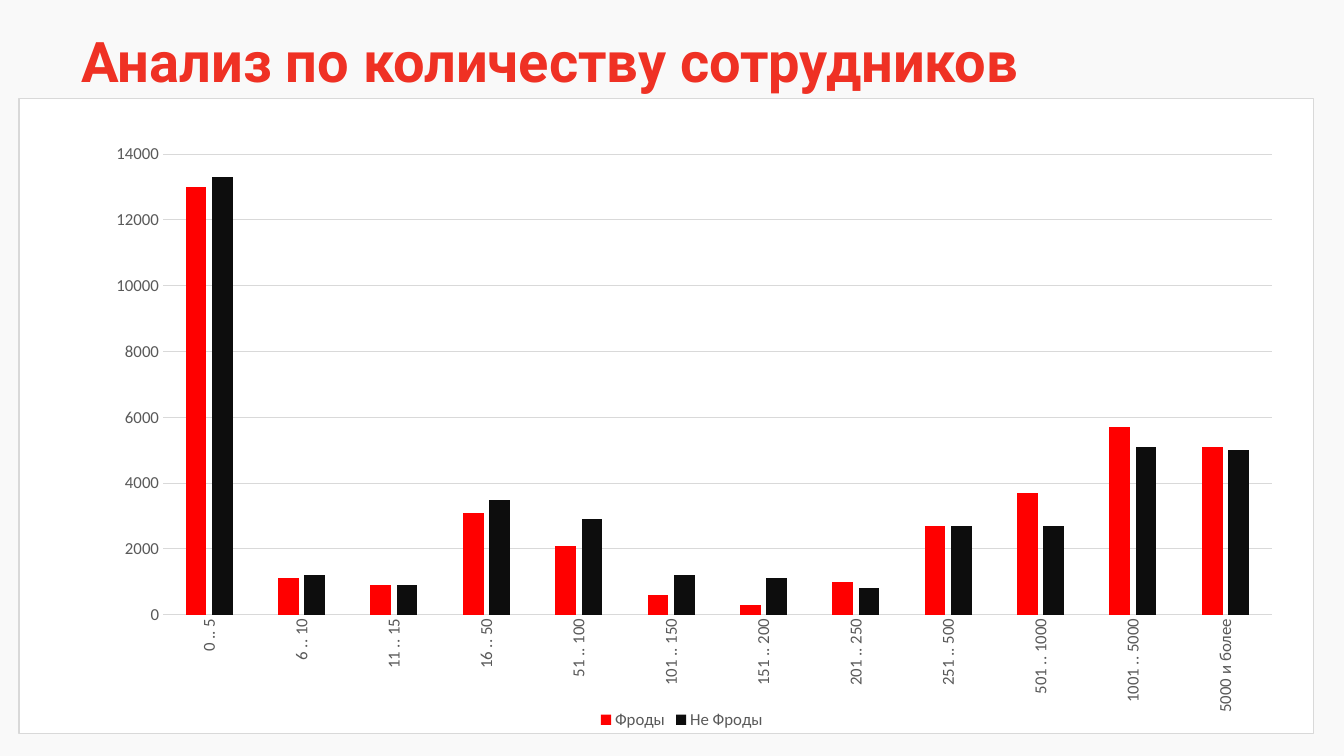
from lxml import etree
from pptx import Presentation
from pptx.chart.data import CategoryChartData
from pptx.dml.color import RGBColor
from pptx.enum.chart import XL_CHART_TYPE, XL_LEGEND_POSITION, XL_TICK_MARK
from pptx.enum.shapes import MSO_SHAPE
from pptx.enum.text import MSO_ANCHOR, MSO_AUTO_SIZE, PP_ALIGN
from pptx.oxml import parse_xml
from pptx.oxml.ns import nsdecls, qn
from pptx.util import Cm, Pt

BACKGROUND = RGBColor(0xF9, 0xF9, 0xF9)
WHITE = RGBColor(0xFF, 0xFF, 0xFF)
BLACK = RGBColor(0, 0, 0)
GRAY_LINE = RGBColor(0xD9, 0xD9, 0xD9)
GRAY_TEXT = RGBColor(0x59, 0x59, 0x59)
TITLE_RED = RGBColor(0xEF, 0x31, 0x24)
FRAUD_RED = RGBColor(0xFF, 0, 0)
OTHER_BLACK = RGBColor(0x0D, 0x0D, 0x0D)


def set_font(font, name, size, color):
    font.name = name
    font.size = Pt(size)
    font.color.rgb = color


prs = Presentation()
prs.slide_width, prs.slide_height = Cm(33.86), Cm(19.05)
s = prs.slides.add_slide(prs.slide_layouts[5])
s.background.fill.solid()
s.background.fill.fore_color.rgb = BACKGROUND

# White panel behind the chart
sp = s.shapes.add_shape(MSO_SHAPE.RECTANGLE, Cm(0.48), Cm(2.49), Cm(32.61), Cm(16))
sp.shadow.inherit = False
sp.fill.solid()
sp.fill.fore_color.rgb = WHITE
sp.line.color.rgb = GRAY_LINE
sp.line.width = Pt(1)

# Chart data
data = CategoryChartData()
data.categories = ["0 .. 5", "6 .. 10", "11 .. 15", "16 .. 50", "51 .. 100",
                   "101 .. 150", "151 .. 200", "201 .. 250", "251 .. 500",
                   "501 .. 1000", "1001 .. 5000", "5000 и более"]
data.add_series("Фроды", [13000, 1100, 900, 3100, 2100, 600,
                          300, 1000, 2700, 3700, 5700, 5100])
data.add_series("Не Фроды", [13300, 1200, 900, 3500, 2900, 1200,
                             1100, 800, 2700, 2700, 5100, 5000])
chart = s.shapes.add_chart(XL_CHART_TYPE.COLUMN_CLUSTERED, Cm(1.8), Cm(3.43),
                           Cm(30.76), Cm(15.06), data).chart
chart.has_title = False
set_font(chart.font, "Calibri", 10, BLACK)

# Columns
plot = chart.plots[0]
plot.gap_width = 219
plot.overlap = -27
plot.vary_by_categories = False
for series, color in zip(plot.series, (FRAUD_RED, OTHER_BLACK)):
    series.format.fill.solid()
    series.format.fill.fore_color.rgb = color

# Axes
cat_axis, val_axis = chart.category_axis, chart.value_axis
for axis in (cat_axis, val_axis):
    axis.major_tick_mark = axis.minor_tick_mark = XL_TICK_MARK.NONE
    set_font(axis.tick_labels.font, "Calibri", 12, GRAY_TEXT)
cat_axis._element.find(qn("c:txPr")).find(qn("a:bodyPr")).set("rot", "-5400000")
val_axis.minimum_scale, val_axis.maximum_scale = 0, 14000
val_axis.major_unit = 2000
val_axis.format.line.fill.background()
for line in (cat_axis.format.line, val_axis.major_gridlines.format.line):
    line.color.rgb = GRAY_LINE
    line.width = Pt(0.75)

# Legend
chart.has_legend = True
chart.legend.position = XL_LEGEND_POSITION.BOTTOM
chart.legend.include_in_layout = False
set_font(chart.legend.font, "Calibri", 12, GRAY_TEXT)

# Inner plot area as fractions of the chart
plot_area = chart._chartSpace.chart.plotArea
for old in plot_area.findall(qn("c:layout")):
    plot_area.remove(old)
layout = parse_xml(f"<c:layout {nsdecls('c')}><c:manualLayout/></c:layout>")
for tag, val in (("layoutTarget", "inner"), ("xMode", "edge"), ("yMode", "edge"),
                 ("x", "0.075"), ("y", "0.03"), ("w", "0.908"), ("h", "0.771")):
    etree.SubElement(layout[0], qn(f"c:{tag}")).set("val", val)
plot_area.insert(0, layout)

# Title, in front of the panel
title = s.shapes.title
title.left, title.top, title.width, title.height = Cm(1.8), Cm(0.53), Cm(32.05), Cm(1.96)
s.shapes._spTree.append(title._element)
tf = title.text_frame
tf.word_wrap = True
tf.auto_size = MSO_AUTO_SIZE.SHAPE_TO_FIT_TEXT
tf.vertical_anchor = MSO_ANCHOR.TOP
p = tf.paragraphs[0]
p.alignment = PP_ALIGN.LEFT
r = p.add_run()
r.text = "Анализ по количеству сотрудников"
r.font.bold = True
set_font(r.font, "Roboto", 40, TITLE_RED)

prs.save("out.pptx")
